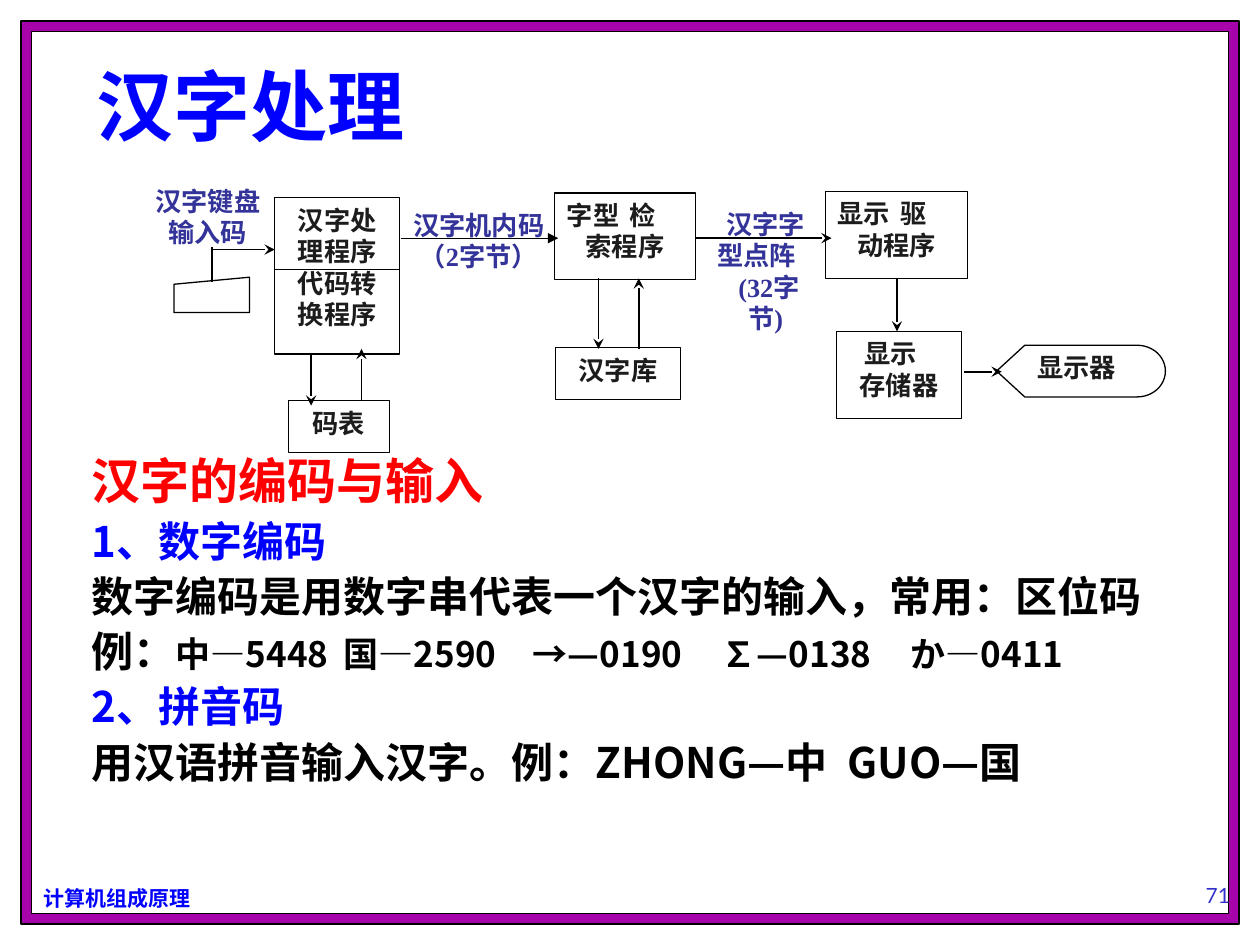
from lxml import etree
from pptx import Presentation
from pptx.dml.color import RGBColor
from pptx.enum.shapes import MSO_CONNECTOR, MSO_SHAPE
from pptx.enum.text import MSO_ANCHOR, PP_ALIGN
from pptx.oxml.ns import qn
from pptx.util import Pt

RECT, DISPLAY, KEYBOARD = (MSO_SHAPE.RECTANGLE, MSO_SHAPE.FLOWCHART_DISPLAY,
                           MSO_SHAPE.FLOWCHART_MANUAL_INPUT)
STRAIGHT = MSO_CONNECTOR.STRAIGHT
LEFT, CENTER = PP_ALIGN.LEFT, PP_ALIGN.CENTER
TOP, BOTTOM = MSO_ANCHOR.TOP, MSO_ANCHOR.BOTTOM

THEME = {
    "cjk": "Noto Sans CJK SC",
    "black": "000000", "white": "FFFFFF", "frame": "A603AB",
    "thin": 0.75, "arrow": 1,
    "title": {"size": 44, "color": "0000FF", "name": "Lato", "bold": True},
    "topic": {"size": 28, "color": "FF0000", "name": "Noto Sans CJK SC", "bold": True},
    "heading": {"size": 24, "color": "0000FF", "name": "Noto Sans CJK SC", "bold": True},
    "body": {"size": 24, "color": "000000", "name": "Noto Sans CJK SC", "bold": True},
    "example": {"size": 20, "color": "000000", "name": "Noto Sans CJK SC", "bold": True},
    "node": {"size": 15, "color": "1C1C1C", "name": "Times New Roman", "bold": True},
    "label": {"size": 15, "color": "333399", "name": "Times New Roman", "bold": True},
    "footer": {"size": 12, "color": "0000FF", "name": "Noto Sans CJK SC", "bold": True},
    "number": {"size": 12, "color": "3333CC", "name": "Lato", "bold": False},
}

FRAMES = [((12, 12, 696, 516), "frame"), ((18, 18, 684, 504), "white")]


def line(text, style, align=CENTER, indent=0, tabs=()):
    return {"spans": [(text, style)], "align": align, "indent": indent, "tabs": tabs}


TITLE = ((48, 36, 390, 54), [line("汉字处理", "title", LEFT)])

NODES = [
    (KEYBOARD, (99.4, 158.4, 43.2, 20.2), []),
    (RECT, (157, 113, 71.3, 89.3),
     [line("汉字处理程序", "node"), line("代码转换程序", "node")]),
    (RECT, (164.9, 229, 57.6, 29.5), [line("码表", "node")]),
    (RECT, (316.8, 110.2, 80.6, 49.7),
     [line("字型\t检", "node", LEFT, tabs=[50]), line("索程序", "node")]),
    (RECT, (471.6, 109.4, 81.4, 49.7),
     [line("显示\t驱", "node", LEFT, tabs=[50]), line("动程序", "node")]),
    (RECT, (317.5, 198.7, 71.3, 29.5), [line("汉字库", "node")]),
    (RECT, (478, 189.4, 71.3, 49.7),
     [line("显示", "node", LEFT, 9), line("存储器", "node")]),
    (DISPLAY, (569.5, 197.3, 96.5, 29.5), [line("显示器", "node", LEFT)]),
]

LABELS = [
    ((79.2, 102.2, 79.2, 49.7), [line("汉字键盘输入码", "label")]),
    ((226.8, 115.9, 93.6, 48.2),
     [line("汉字机内码", "label"), line("（2字节）", "label")]),
    ((401.8, 115.2, 71.3, 64.1),
     [line("汉字字", "label"), line("型点阵", "label", LEFT, 1),
      line("(32字", "label", LEFT, 13), line("节)", "label")]),
]

LINKS = [
    ((157, 154.1), (228.3, 154.1), "thin", None),
    ((121, 161.3), (121, 141.1), "arrow", None),
    ((121, 142.6), (157, 142.6), "arrow", "stealth"),
    ((397.4, 136.1), (475.2, 136.1), "arrow", "stealth"),
    ((177.8, 201.6), (177.8, 231.8), "arrow", "stealth"),
    ((206.6, 229), (206.6, 199.4), "arrow", "stealth"),
    ((342, 159.1), (342, 199.4), "arrow", "stealth"),
    ((365, 199.4), (365, 159.1), "arrow", "stealth"),
    ((512.6, 159.1), (512.6, 189.4), "arrow", "stealth"),
    ((550.8, 212.4), (572.4, 212.4), "arrow", "stealth"),
    ((229, 136.1), (319, 136.1), "thin", "triangle"),
]

EXAMPLE = line("例：", "body", LEFT, tabs=[153.7, 258.9, 357.1, 453.7])
EXAMPLE["spans"].append(("中—5448\t国—2590\t→—0190\t∑—0138\tか—0411", "example"))
BODY_BOX = (45.4, 257.8, 656, 217.4)
BODY = [
    (7, line("汉字的编码与输入", "topic", LEFT)),
    (6, line("1、数字编码", "heading", LEFT)),
    (6, line("数字编码是用数字串代表一个汉字的输入，常用：区位码", "body", LEFT)),
    (5, EXAMPLE),
    (6, line("2、拼音码", "heading", LEFT)),
    (6, line("用汉语拼音输入汉字。例：ZHONG—中\tGUO—国", "body", LEFT, tabs=[448.6])),
]
FOOTER = ((18, 502.6, 110, 21.6), [line("计算机组成原理", "footer", LEFT)])
NUMBER = ((674.3, 486, 43.2, 36), [line("71", "number")])


def color(name):
    return RGBColor.from_string(THEME.get(name, name))


def style_span(span, style):
    values = dict(THEME[style])
    span.font.color.rgb = color(values.pop("color"))
    values["size"] = Pt(values["size"])
    for key, value in values.items():
        setattr(span.font, key, value)
    etree.SubElement(span.font._element, qn("a:ea"), typeface=THEME["cjk"])


def write(box, lines, anchor=TOP, **spacing):
    frame = box.text_frame
    frame_format = {"word_wrap": True, "vertical_anchor": anchor,
                    "margin_left": Pt(7.2), "margin_right": Pt(7.2),
                    "margin_top": Pt(3.6), "margin_bottom": Pt(3.6)}
    for key, value in frame_format.items():
        setattr(frame, key, value)
    for index, item in enumerate(lines):
        para = frame.add_paragraph() if index else frame.paragraphs[0]
        para_format = {"alignment": item["align"], "space_before": Pt(0), **spacing}
        for key, value in para_format.items():
            setattr(para, key, value)
        settings = para._p.get_or_add_pPr()
        settings.set("marL", str(Pt(item["indent"])))
        settings.set("indent", "0")
        if item["tabs"]:
            stops = etree.SubElement(settings, qn("a:tabLst"))
            for stop in item["tabs"]:
                etree.SubElement(stops, qn("a:tab"), pos=str(Pt(stop)), algn="l")
        for text, style in item["spans"]:
            span = para.add_run()
            span.text = text
            style_span(span, style)
    return frame


def add_shape(page, kind, place, fill):
    box = page.shapes.add_shape(kind, *map(Pt, place))
    box.shadow.inherit = False
    box.fill.solid()
    box.fill.fore_color.rgb = color(fill)
    box.line.color.rgb = color("black")
    box.line.width = Pt(THEME["thin"])
    return box


def add_text(page, place, lines, anchor=TOP):
    return write(page.shapes.add_textbox(*map(Pt, place)), lines, anchor)


def add_link(page, start, end, weight, head):
    link = page.shapes.add_connector(STRAIGHT, *map(Pt, start + end))
    link.line.color.rgb = color("black")
    link.line.width = Pt(THEME[weight])
    if head:
        etree.SubElement(link.line._get_or_add_ln(), qn("a:tailEnd"), type=head)
    etree.SubElement(link._element.spPr, qn("a:effectLst"))


def add_title(page, place, lines):
    title = page.shapes.title
    title.left, title.top, title.width, title.height = map(Pt, place)
    write(title, lines, BOTTOM)
    page.shapes._spTree.append(title._element)


def main():
    deck = Presentation()
    deck.slide_width, deck.slide_height = Pt(720), Pt(540)
    page = deck.slides.add_slide(deck.slide_layouts[5])
    for place, fill in FRAMES:
        add_shape(page, RECT, place, fill)
    add_text(page, *FOOTER).word_wrap = False
    add_text(page, *NUMBER, BOTTOM)
    add_title(page, *TITLE)
    body = add_text(page, BODY_BOX, [item for gap, item in BODY])
    for para, (gap, item) in zip(body.paragraphs, BODY):
        para.line_spacing = 0.9
        para.space_before = Pt(gap)
    for kind, place, lines in NODES:
        write(add_shape(page, kind, place, "white"), lines)
    for place, lines in LABELS:
        add_text(page, place, lines)
    for link in LINKS:
        add_link(page, *link)
    deck.save("out.pptx")


if __name__ == "__main__":
    main()
